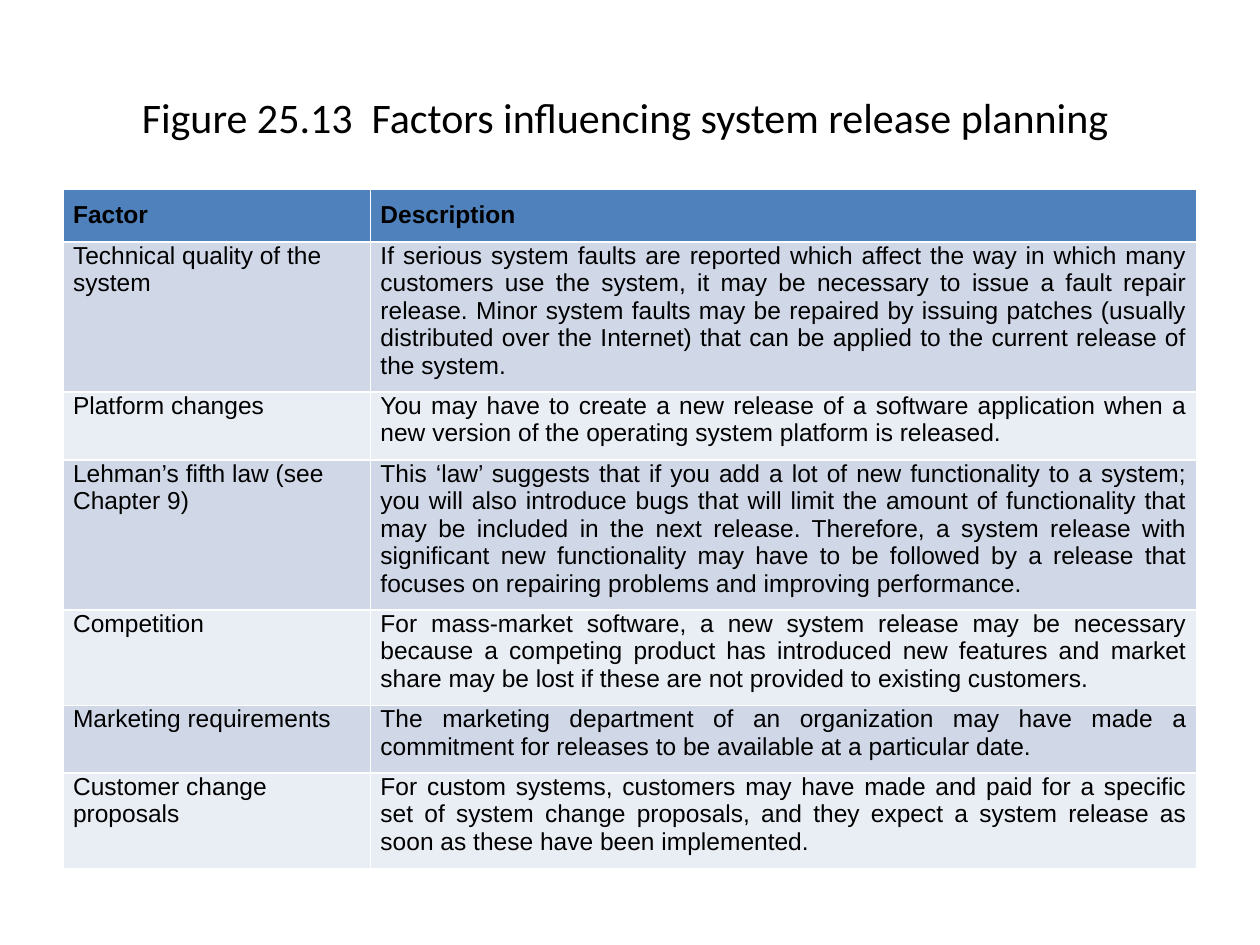
from pptx import Presentation
from pptx.dml.color import RGBColor
from pptx.enum.text import MSO_ANCHOR, PP_ALIGN
from pptx.util import Inches, Pt

LEFT, CENTER, JUSTIFY = PP_ALIGN.LEFT, PP_ALIGN.CENTER, PP_ALIGN.JUSTIFY
MIDDLE = MSO_ANCHOR.MIDDLE
TITLE_ONLY_LAYOUT = 5

TITLE = "Figure 25.13  Factors influencing system release planning "
HEADER = ("Factor", "Description")
FACTORS = [
    ("Technical quality of the system",
     "If serious system faults are reported which affect the way in which many "
     "customers use the system, it may be necessary to issue a fault repair release. "
     "Minor system faults may be repaired by issuing patches (usually distributed over "
     "the Internet) that can be applied to the current release of the system."),
    ("Platform changes",
     "You may have to create a new release of a software application when a new "
     "version of the operating system platform is released."),
    ("Lehman’s fifth law (see Chapter 9)",
     "This ‘law’ suggests that if you add a lot of new functionality to a system; you "
     "will also introduce bugs that will limit the amount of functionality that may be "
     "included in the next release. Therefore, a system release with significant new "
     "functionality may have to be followed by a release that focuses on repairing "
     "problems and improving performance."),
    ("Competition",
     "For mass-market software, a new system release may be necessary because a "
     "competing product has introduced new features and market share may be lost if "
     "these are not provided to existing customers."),
    ("Marketing requirements",
     "The marketing department of an organization may have made a commitment for "
     "releases to be available at a particular date."),
    ("Customer change proposals",
     "For custom systems, customers may have made and paid for a specific set of system "
     "change proposals, and they expect a system release as soon as these have been "
     "implemented."),
]


def color(hex_string):
    return RGBColor.from_string(hex_string)


def set_attributes(target, values):
    for name, value in values.items():
        setattr(target, name, value)


class SlideBuilder:
    """Holds the style and the current slide."""

    text_color = "000000"
    header_fill = "4F81BD"
    band_fills = ("D0D8E8", "E9EDF4")
    title_font = {"name": "Calibri", "size": Pt(24), "bold": False}
    table_font = {"name": "Arial", "size": Pt(14)}
    cell_margins = {"margin_left": Inches(0.08), "margin_right": Inches(0.08),
                    "margin_bottom": Inches(0.1)}

    def __init__(self, presentation):
        layout = presentation.slide_layouts[TITLE_ONLY_LAYOUT]
        self.slide = presentation.slides.add_slide(layout)

    def add_text(self, text_frame, text, alignment, font):
        paragraph = text_frame.paragraphs[0]
        paragraph.alignment = alignment
        run = paragraph.add_run()
        run.text = text
        set_attributes(run.font, font)
        run.font.color.rgb = color(self.text_color)

    def title(self, text, left, top, width, height):
        shape = self.slide.shapes.title
        set_attributes(shape, {"left": left, "top": top,
                               "width": width, "height": height})
        shape.text_frame.vertical_anchor = MIDDLE
        self.add_text(shape.text_frame, text, CENTER, self.title_font)

    def cell(self, cell, text, fill, alignment, top_margin, bold):
        set_attributes(cell, {**self.cell_margins, "margin_top": top_margin})
        cell.fill.solid()
        cell.fill.fore_color.rgb = color(fill)
        self.add_text(cell.text_frame, text, alignment,
                      {**self.table_font, "bold": bold})

    def table(self, header, rows, left, top, column_widths, row_height, height):
        shape = self.slide.shapes.add_table(
            len(rows) + 1, len(header), left, top, sum(column_widths), height)
        table = shape.table
        for column, width in zip(table.columns, column_widths):
            column.width = width
        for row in table.rows:
            row.height = row_height
        shape.height = height
        for column, text in enumerate(header):
            self.cell(table.cell(0, column), text, self.header_fill,
                      JUSTIFY, Inches(0.1), True)
        for index, texts in enumerate(rows):
            fill = self.band_fills[index % len(self.band_fills)]
            for column, (text, alignment) in enumerate(zip(texts, (LEFT, JUSTIFY))):
                self.cell(table.cell(index + 1, column), text, fill,
                          alignment, Inches(0), False)


def main():
    presentation = Presentation()
    presentation.slide_width = Inches(10)
    presentation.slide_height = Inches(7.5)
    builder = SlideBuilder(presentation)
    builder.title(TITLE, Inches(0.5), Inches(0.3), Inches(9), Inches(1.25))
    builder.table(HEADER, FACTORS, Inches(0.5), Inches(1.5),
                  (Inches(2.44), Inches(6.56)), Inches(0.41), Inches(5.7))
    presentation.save("out.pptx")


if __name__ == "__main__":
    main()
